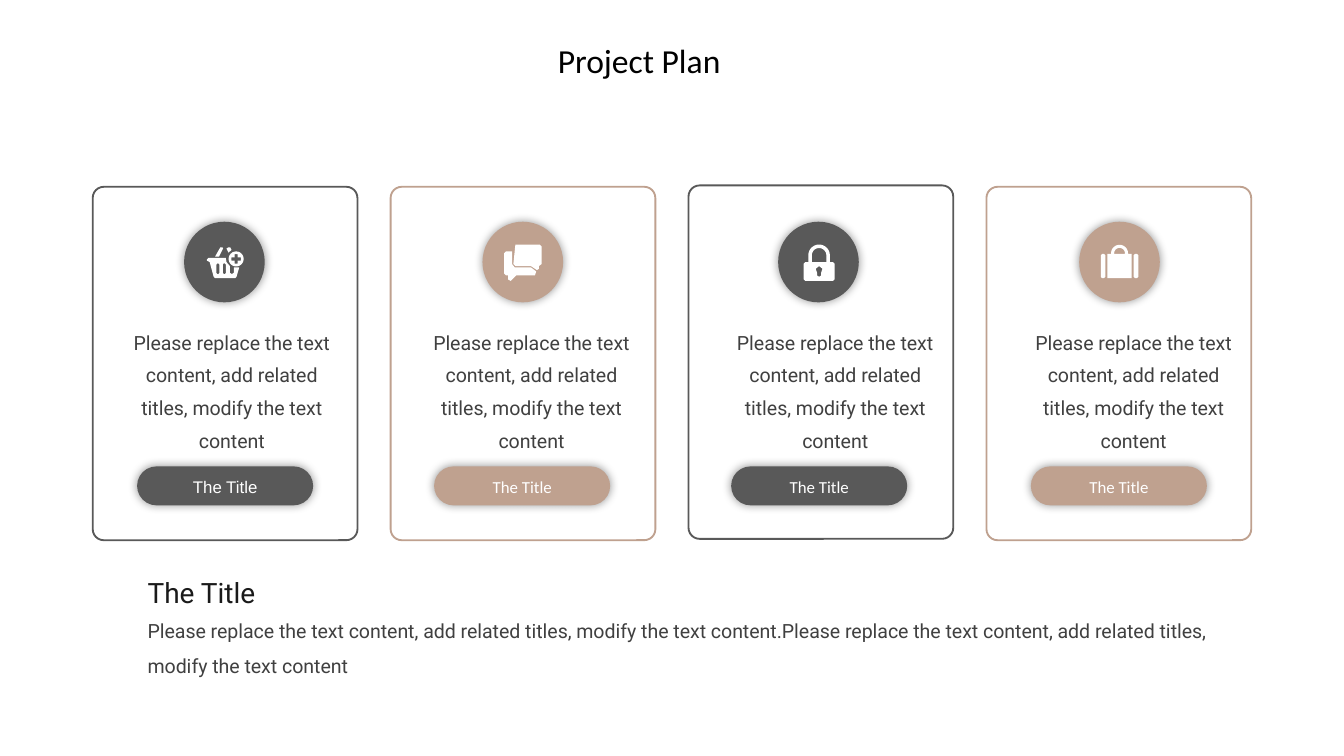
from math import cos, pi, sin

from lxml.etree import SubElement
from pptx import Presentation
from pptx.dml.color import RGBColor
from pptx.enum.shapes import MSO_SHAPE
from pptx.enum.text import MSO_ANCHOR, PP_ALIGN
from pptx.oxml.ns import qn
from pptx.util import Inches, Pt

# Content
PLAN_TITLE = "Project Plan"
REPLACE = "Please replace the text content, add related titles, modify the text content"
SUMMARY = ("The Title", f"{REPLACE}.{REPLACE}")
GREY, TAN, WHITE, BODY = "595959", "BFA18F", "FFFFFF", "404040"

# Card top, badge left, pill left, body left, label font, colour, icon
CARDS = [
    (1.39, 1.37, 1.02, 0.82, "Arial", GREY, "basket"),
    (1.39, 3.59, 3.23, 3.05, "Calibri", TAN, "chat"),
    (1.38, 5.79, 5.44, 5.31, "Calibri", GREY, "lock"),
    (1.39, 8.03, 7.67, 7.53, "Calibri", TAN, "suitcase"),
]
CARD_LEFT, CARD_RIGHTMOST = 0.69, 7.34
CARD_PITCH = (CARD_RIGHTMOST - CARD_LEFT) / (len(CARDS) - 1)
BADGE_TOP, BADGE_SIZE = 1.65, 0.6


# Icon outlines, in hundredths of an inch from the badge centre
def box(left, top, right, bottom, cut=0.0):
    return [(left + cut, top), (right - cut, top), (right, top + cut),
            (right, bottom - cut), (right - cut, bottom), (left + cut, bottom),
            (left, bottom - cut), (left, top + cut)]


def arc(x, y, radius, start=0.0, end=2 * pi, steps=24):
    angles = [start + (end - start) * i / steps for i in range(steps + 1)]
    return [(x + radius * cos(a), y + radius * sin(a)) for a in angles]


def arch(x, y, outer, inner, base):
    return ([(x - outer, base)] + arc(x, y, outer, pi, 2 * pi)
            + [(x + outer, base), (x + inner, base)]
            + arc(x, y, inner, 2 * pi, pi) + [(x - inner, base)])


def plus(x, y, arm, half):
    return [(x - half, y - arm), (x + half, y - arm), (x + half, y - half),
            (x + arm, y - half), (x + arm, y + half), (x + half, y + half),
            (x + half, y + arm), (x - half, y + arm), (x - half, y + half),
            (x - arm, y + half), (x - arm, y - half), (x - half, y - half)]


ICONS = {
    "basket": [
        arc(8.7, -2.3, 5.6), plus(8.7, -2.3, 3.5, 1.2),
        [(3, -7), (1.5, -10), (3, -11), (4.3, -11), (5.3, -9)],
        [(-1, -10), (-4, -4), (-7, -4), (-3, -11), (-1.5, -11)],
        [(-12, -3), (1, -3), (1.5, 0), (4, 3), (4, 8), (5.5, 9), (7, 8), (7, 4),
         (11, 4), (9, 11), (8, 12), (-7, 12), (-8, 11), (-11, 0), (-13, -1), (-13, -2)],
        box(-1.2, 1, 1, 9, 0.8), box(-6, 1, -3.8, 9, 0.8),
    ],
    "chat": [
        [(-5.5, -13), (12.5, -13), (14, -11.5), (14, 1.5), (12, 3), (12, 5),
         (10.5, 6), (6, 3), (-5.5, 3), (-7, 1.5)],
        [(-12.5, -8), (-8, -8), (-8, 1.5), (-6, 4), (6, 4), (10, 7), (9, 10),
         (-5, 10), (-9, 14), (-11, 13), (-11, 10), (-12.5, 10), (-14, 8.5), (-14, -6.5)],
    ],
    "lock": [
        box(-11, 0, 12, 14, 1.2), arch(0.5, -5, 8, 5.4, 0),
        [(-1, 8), (-2, 5), (0.5, 3), (3, 5), (2, 8), (2, 10), (0.5, 11), (-1, 10)],
    ],
    "suitcase": [
        box(-14, -6, -10.5, 12, 1), box(-9, -6, 9, 12), box(10.5, -6, 14, 12, 1),
        arch(0, -6.5, 6.3, 4, -6),
    ],
}


# Drawing helpers
def rgb(value):
    return RGBColor.from_string(value)


def paint(shape, fill=None, line=None):
    shape.shadow.inherit = False
    if fill:
        shape.fill.solid()
        shape.fill.fore_color.rgb = rgb(fill)
    else:
        shape.fill.background()
    if line:
        shape.line.color.rgb = rgb(line)
        shape.line.width = Pt(1)
    else:
        shape.line.fill.background()


def add_glow(shape):
    effects = shape._element.spPr.find(qn("a:effectLst"))
    shadow = SubElement(effects, qn("a:outerShdw"), blurRad=str(Pt(5)), dist="0",
                        dir="0", algn="ctr", rotWithShape="0")
    black = SubElement(shadow, qn("a:srgbClr"), val="000000")
    SubElement(black, qn("a:alpha"), val="40000")


def add_preset(slide, kind, area, fill=None, line=None, corner=None):
    shape = slide.shapes.add_shape(kind, *map(Inches, area))
    if corner is not None:
        shape.adjustments[0] = corner
    paint(shape, fill, line)
    if fill:
        add_glow(shape)


def write(frame, text, size, font, color, align=PP_ALIGN.LEFT, spacing=1.0):
    frame.word_wrap = True
    frame.vertical_anchor = MSO_ANCHOR.TOP
    frame.text = text
    paragraph = frame.paragraphs[0]
    paragraph.alignment = align
    paragraph.line_spacing = spacing
    run_font = paragraph.runs[0].font
    run_font.size, run_font.name, run_font.color.rgb = Pt(size), font, rgb(color)


def add_text(slide, area, *style):
    write(slide.shapes.add_textbox(*map(Inches, area)).text_frame, *style)


def add_icon(slide, contours, x, y):
    placed = [[(Inches(x + dx / 100), Inches(y + dy / 100)) for dx, dy in contour]
              for contour in contours]
    builder = slide.shapes.build_freeform(*placed[0][0])
    for number, contour in enumerate(placed):
        if number:
            builder.move_to(*contour[0])
        builder.add_line_segments(contour[1:], close=True)
    paint(builder.convert_to_shape(), WHITE)


def main():
    # Widescreen page, 16 to 9
    deck = Presentation()
    deck.slide_width = Inches(10)
    deck.slide_height = deck.slide_width * 9 // 16
    slide = deck.slides.add_slide(deck.slide_layouts[5])

    # Title
    title = slide.shapes.title
    title.left, title.top, title.width, title.height = map(Inches, (4.05, 0.25, 1.55, 0.71))
    write(title.text_frame, PLAN_TITLE, 18, "Calibri", "000000")

    # Cards
    for i, (top, badge, pill, body, font, color, icon) in enumerate(CARDS):
        add_preset(slide, MSO_SHAPE.ROUNDED_RECTANGLE,
                   (CARD_LEFT + i * CARD_PITCH, top, 1.97, 2.63), line=color, corner=0.042)
        add_preset(slide, MSO_SHAPE.OVAL, (badge, BADGE_TOP, BADGE_SIZE, BADGE_SIZE), color)
        add_icon(slide, ICONS[icon], badge + BADGE_SIZE / 2, BADGE_TOP + BADGE_SIZE / 2)
        add_preset(slide, MSO_SHAPE.ROUNDED_RECTANGLE, (pill, 3.47, 1.31, 0.29),
                   color, corner=0.5)
        add_text(slide, (pill + 0.31, 3.5, 0.69, 0.25), "The Title", 9, font, WHITE,
                 PP_ALIGN.CENTER)
        add_text(slide, (body, 2.34, 1.81, 1.09), REPLACE, 10.5, "Roboto", BODY,
                 PP_ALIGN.CENTER, 1.4)

    # Summary
    heading, details = SUMMARY
    add_text(slide, (1, 4.23, 2.05, 0.35), heading, 15, "Roboto", "1A1A1A")
    add_text(slide, (1, 4.47, 8.41, 0.63), details, 10.5, "Roboto", BODY,
             PP_ALIGN.LEFT, 1.5)

    deck.save("out.pptx")


if __name__ == "__main__":
    main()
